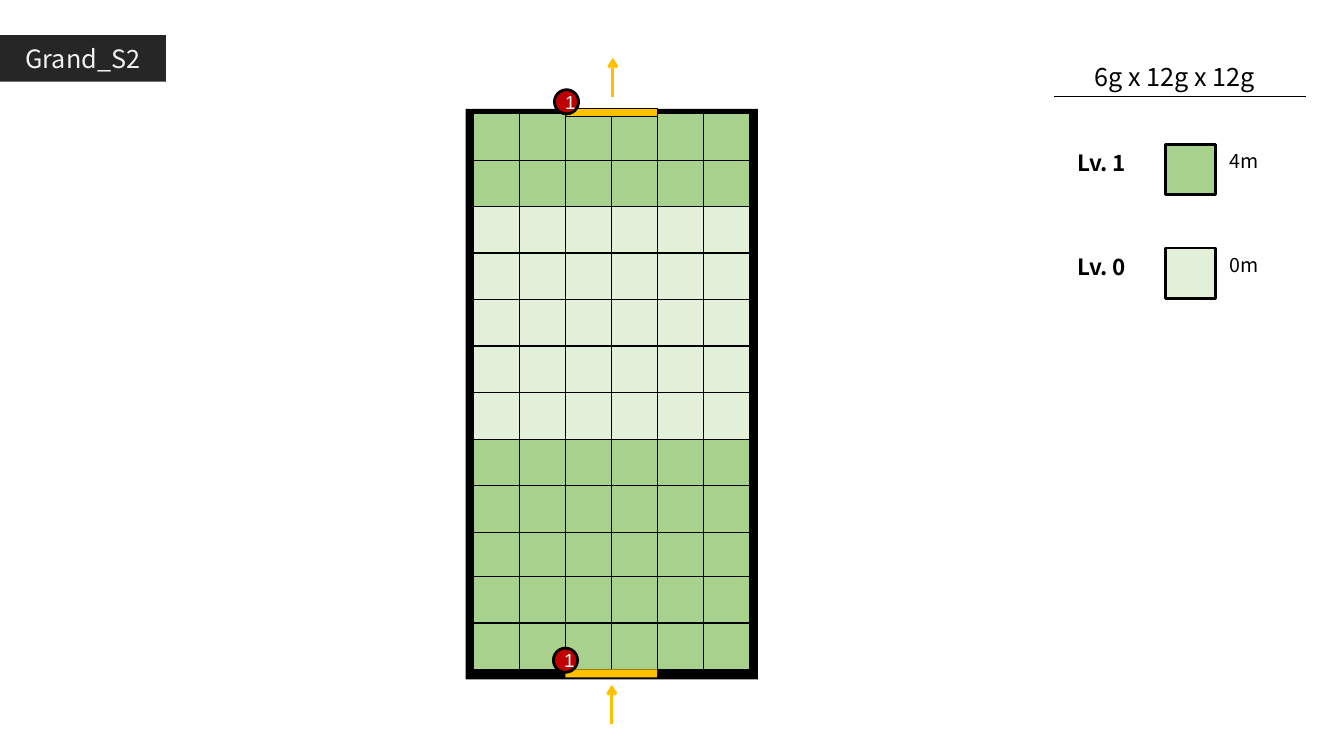
from lxml.etree import SubElement
from pptx import Presentation
from pptx.dml.color import RGBColor
from pptx.enum.shapes import MSO_CONNECTOR as Connector, MSO_SHAPE as Preset
from pptx.enum.text import MSO_ANCHOR as Anchor, PP_ALIGN as Align
from pptx.oxml.ns import qn
from pptx.util import Inches, Pt

COLORS = {
    "black": "000000",
    "white": "FFFFFF",
    "tag": "262626",
    "tag_text": "F2F2F2",
    "high": "A9D18E",
    "low": "E2F0D9",
    "door": "FFC000",
    "marker": "C00000",
}


def color(name):
    return RGBColor.from_string(COLORS[name])


def write(shape, text, size=18, ink="black", font="Noto Sans CJK KR",
          bold=False, align=Align.LEFT, anchor=Anchor.TOP):
    frame = shape.text_frame
    frame.word_wrap = True
    frame.vertical_anchor = anchor
    paragraph = frame.paragraphs[0]
    paragraph.alignment = align
    run = paragraph.add_run()
    run.text = text
    run.font.name = font
    run.font.size = Pt(size)
    run.font.bold = bold
    run.font.color.rgb = color(ink)


class FloorPlan:
    COLUMNS, ROWS = 160, 90

    def __init__(self):
        self.presentation = Presentation()
        self.presentation.slide_width = Inches(13.33)
        self.presentation.slide_height = Inches(7.5)
        self.slide = self.presentation.slides.add_slide(self.presentation.slide_layouts[6])

    def place(self, column, row, width, height):
        unit_x = self.presentation.slide_width / self.COLUMNS
        unit_y = self.presentation.slide_height / self.ROWS
        return (int(column * unit_x), int(row * unit_y),
                int(width * unit_x), int(height * unit_y))

    def shape(self, column, row, width, height, fill, line=None, preset=Preset.RECTANGLE):
        shape = self.slide.shapes.add_shape(preset, *self.place(column, row, width, height))
        shape.shadow.inherit = False
        shape.fill.solid()
        shape.fill.fore_color.rgb = color(fill)
        if line:
            shape.line.color.rgb = color("black")
            shape.line.width = Pt(line)
        else:
            shape.line.fill.background()
        return shape

    def label(self, column, row, width, height, text, **style):
        write(self.slide.shapes.add_textbox(*self.place(column, row, width, height)), text, **style)

    def line(self, start, end, ink, width, arrow=False):
        connector = self.slide.shapes.add_connector(Connector.STRAIGHT, *self.place(*start, *end))
        connector.line.color.rgb = color(ink)
        connector.line.width = Pt(width)
        if arrow:
            SubElement(connector.line._get_or_add_ln(), qn("a:tailEnd"), type="arrow")
        SubElement(connector._element.spPr, qn("a:effectLst"))

    def band(self, top, rows, fill):
        left, pitch_x, pitch_y, side = 56.4, 5.47, 5.54, 5.52
        for row in range(rows):
            for column in range(6):
                self.shape(left + column * pitch_x, top + row * pitch_y, side, side, fill, 0.75)

    def door(self, row, line=None):
        self.shape(67.32, row, 10.92, 0.96, "door", line)

    def marker(self, column, row, text):
        circle = self.shape(column, row, 2.88, 2.88, "marker", 2, Preset.OVAL)
        write(circle, text, size=13.4, ink="white", font="Arial",
              align=Align.CENTER, anchor=Anchor.MIDDLE)

    def legend(self, row, name, height, fill):
        self.shape(138.72, row, 6, 6, fill, 2)
        self.label(145.2, row, 8.52, 3.96, height, size=14)
        self.label(127.08, row, 12.84, 4.32, name, size=16, bold=True)


def main():
    plan = FloorPlan()
    tag = plan.shape(0, 4.2, 19.74, 5.52, "tag")
    write(tag, "Grand_S2", ink="tag_text", align=Align.CENTER, anchor=Anchor.MIDDLE)

    plan.line((125.52, 11.52), (155.52, 11.52), "black", 1)
    plan.label(126.6, 6.72, 26.4, 4.8, "6g x 12g x 12g", align=Align.CENTER)
    plan.legend(17.16, "Lv. 1", "4m", "high")
    plan.legend(29.52, "Lv. 0", "0m", "low")

    plan.shape(55.44, 12.96, 34.8, 67.92, "black")
    for top, rows, fill in ((13.56, 2, "high"), (24.6, 5, "low"),
                            (52.32, 3, "high"), (68.64, 2, "high")):
        plan.band(top, rows, fill)

    plan.door(79.68)
    plan.door(12.96, line=0.75)
    for column, row in ((72.84, 86.16), (72.96, 11.52)):
        plan.line((column, row), (column, row - 4.64), "door", 2.25, arrow=True)
    plan.marker(65.88, 77.16, "1")
    plan.marker(66, 10.68, "1")
    plan.presentation.save("out.pptx")


if __name__ == "__main__":
    main()
